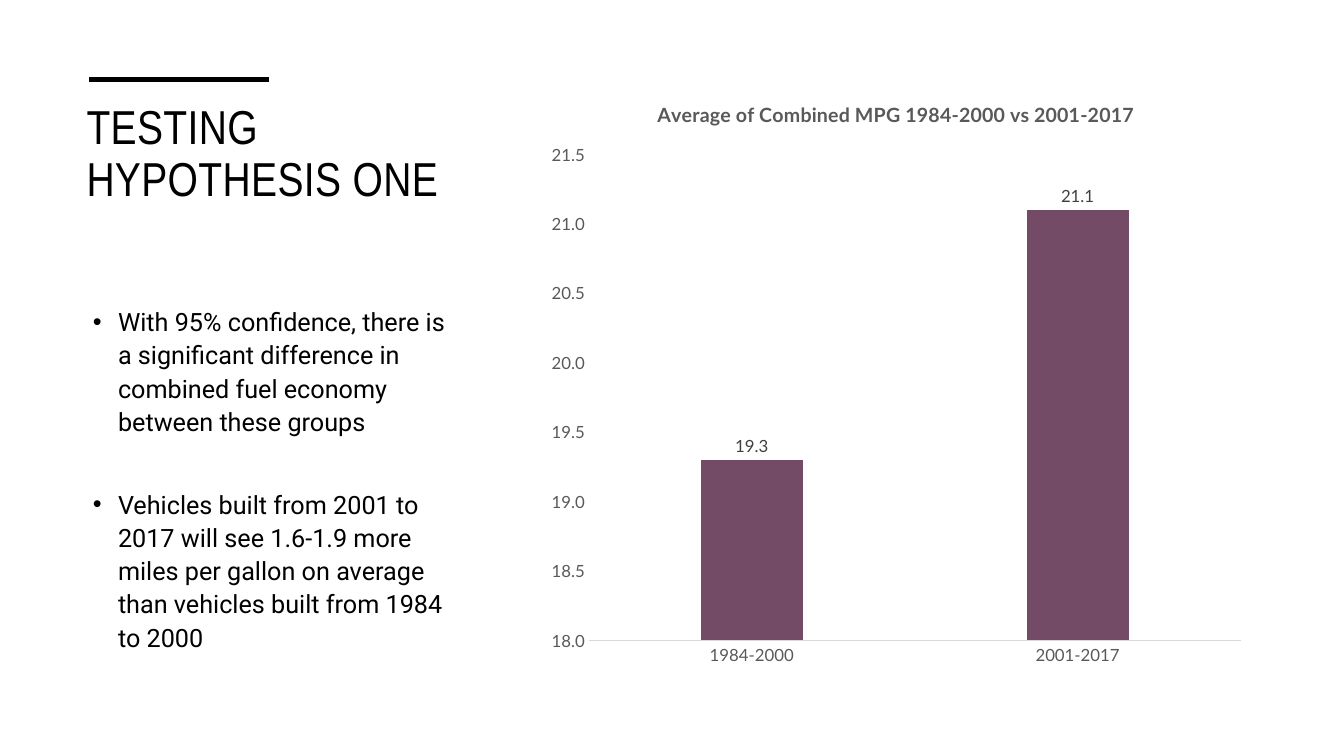
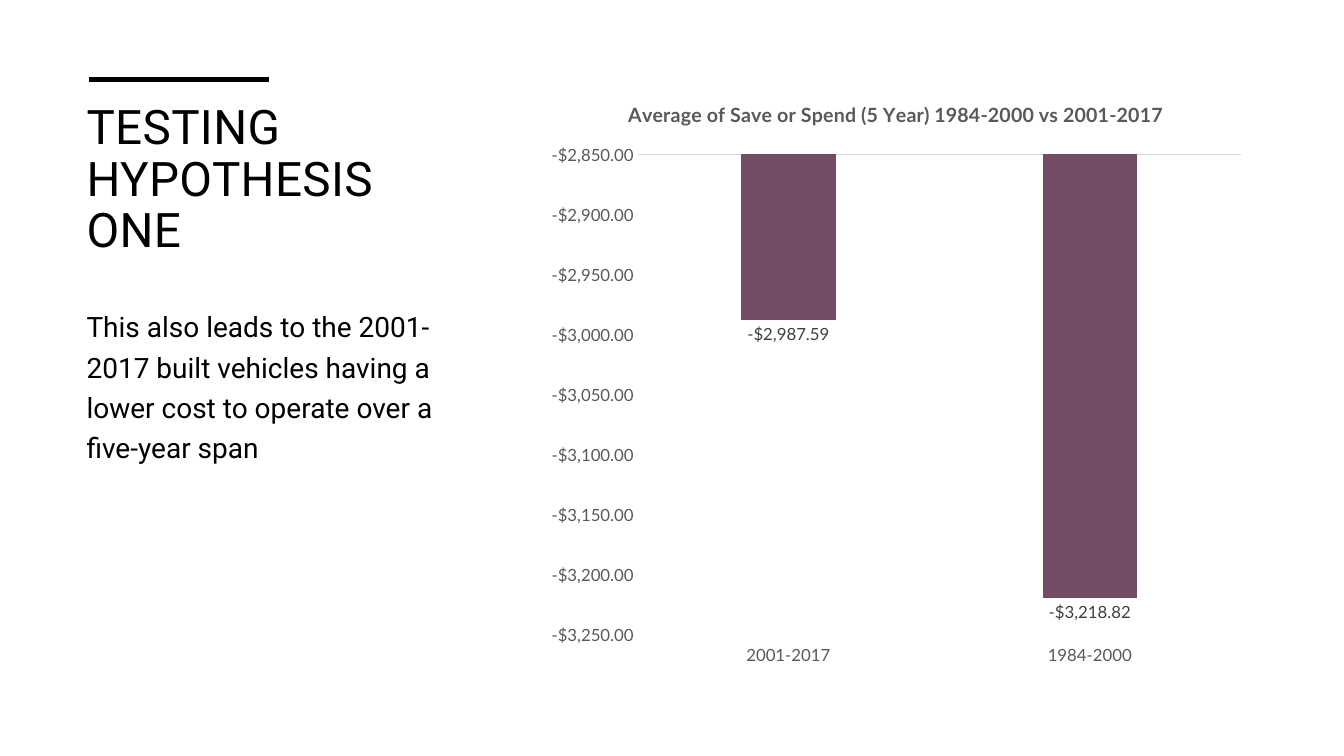
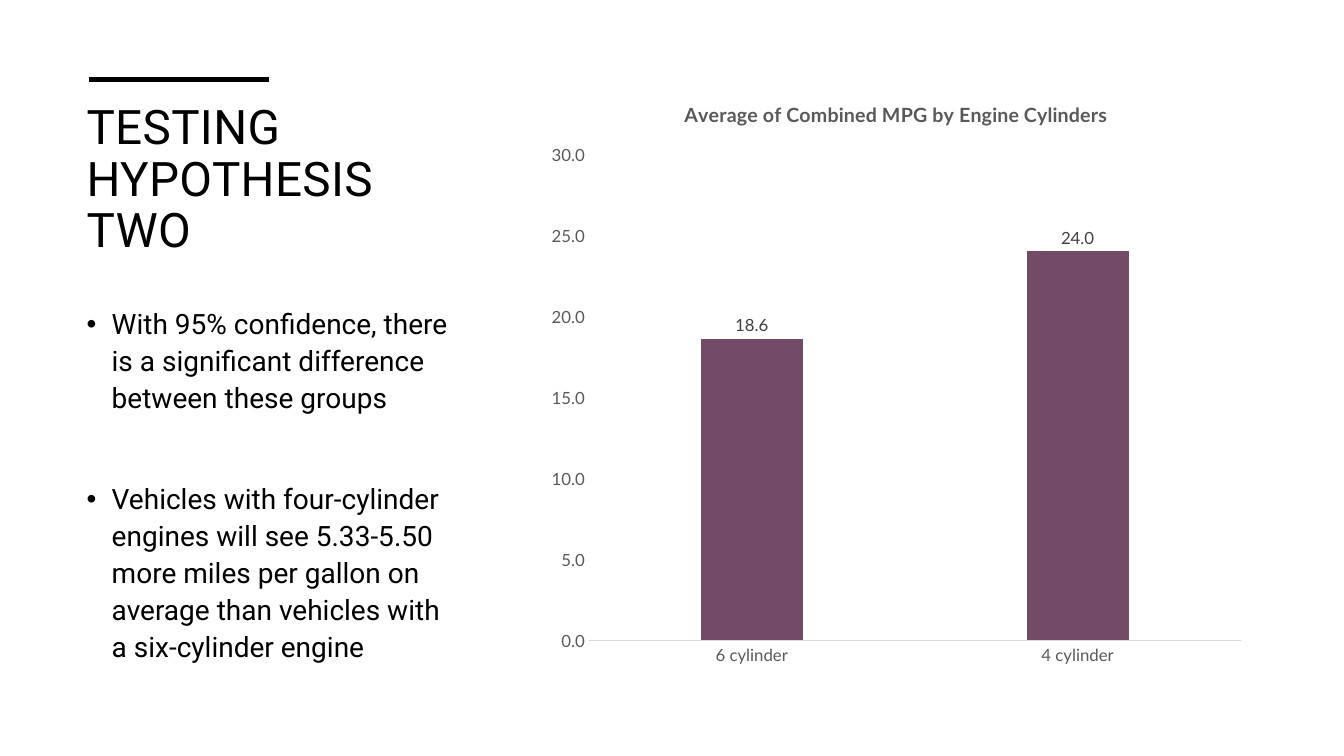
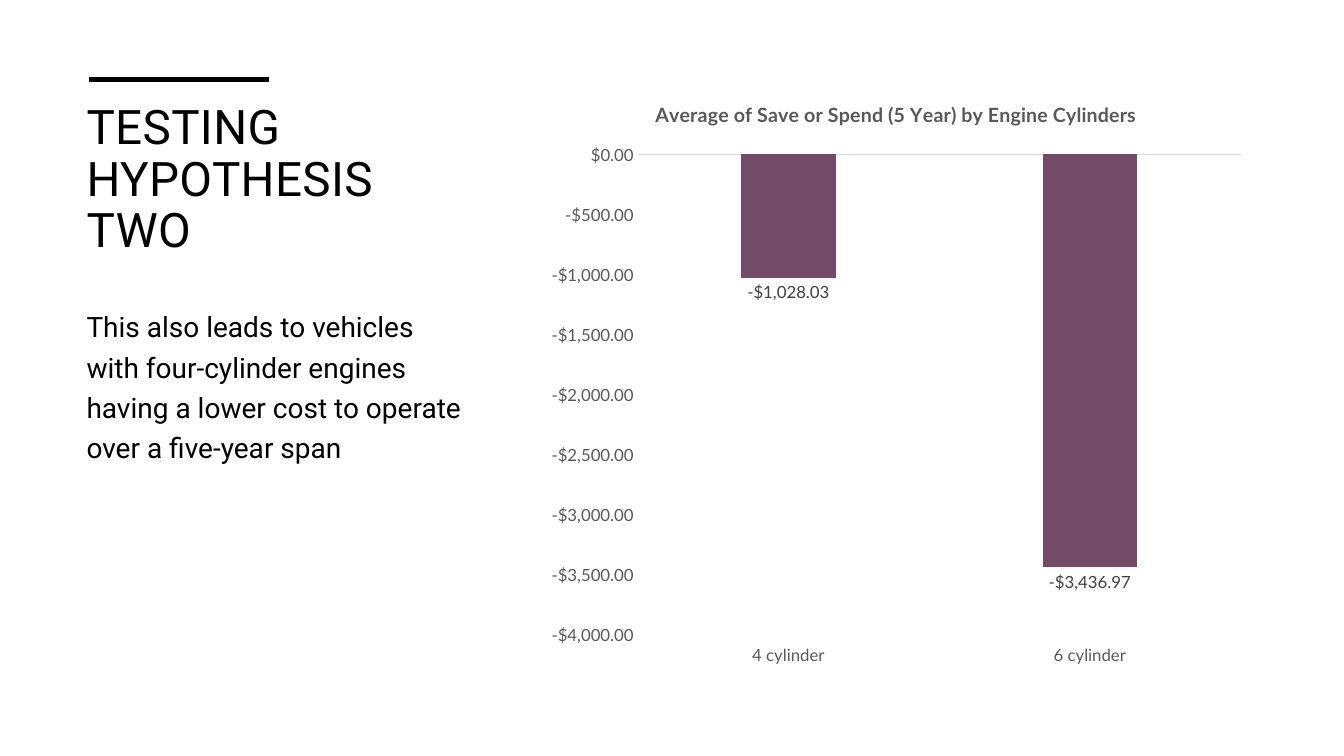
from lxml import etree
from pptx import Presentation
from pptx import util as u
from pptx.chart import data
from pptx.dml.color import RGBColor
from pptx.enum import chart as ch
from pptx.enum import shapes, text
from pptx.oxml import parse_xml
from pptx.oxml.ns import nsdecls, qn

BLACK = RGBColor(0x00, 0x00, 0x00)
PLUM = RGBColor(0x73, 0x4B, 0x67)
AXIS_GRAY = RGBColor(0x59, 0x59, 0x59)
LABEL_GRAY = RGBColor(0x40, 0x40, 0x40)
LINE_GRAY = RGBColor(0xD9, 0xD9, 0xD9)

BODY_FONT = "Roboto"
CHART_FONT = "Lato"
MPG = "0.0"
MONEY = '"$"#,##0.00'
PLOT_LAYOUTS = {MPG: (0.072, 0.125, 0.908, 0.815), MONEY: (0.14, 0.125, 0.84, 0.806)}


class Deck:
    def __init__(self):
        self.presentation = Presentation()
        self.presentation.slide_width = u.Pt(960)
        self.presentation.slide_height = u.Pt(540)
        self.slide = None

    def add_slide(self, title, title_font=BODY_FONT):
        self.slide = self.presentation.slides.add_slide(self.presentation.slide_layouts[6])
        self.title(title, title_font)
        self.rule()

    def style(self, font, size, color, name=CHART_FONT, bold=False):
        font.name = name
        font.size = u.Pt(size)
        font.bold = bold
        font.color.rgb = color

    def text_frame(self, top, width, height):
        shape = self.slide.shapes.add_textbox(u.Pt(54.72), u.Pt(top), u.Pt(width), u.Pt(height))
        frame = shape.text_frame
        frame.word_wrap = True
        frame.vertical_anchor = text.MSO_ANCHOR.TOP
        return frame

    def title(self, words, font):
        frame = self.text_frame(70.56, 286.56, 123.84)
        frame.text = words
        paragraph = frame.paragraphs[0]
        paragraph.line_spacing = 0.9
        run = paragraph.runs[0]
        self.style(run.font, 34, BLACK, font)
        run.font._element.set("spc", "30")

    def rule(self):
        line = self.slide.shapes.add_connector(
            shapes.MSO_CONNECTOR.STRAIGHT, u.Pt(63.36), u.Pt(56.88), u.Pt(192.24), u.Pt(56.88))
        line.line.color.rgb = BLACK
        line.line.width = u.Pt(3.5)
        etree.SubElement(line._element.spPr, qn("a:effectLst"))

    def body(self, paragraphs, size=20, spacing=1.2, gap=0, indent=None):
        frame = self.text_frame(213.12, 282.24, 275.76)
        for index, words in enumerate(paragraphs):
            paragraph = frame.add_paragraph() if index else frame.paragraphs[0]
            paragraph.text = words
            paragraph.line_spacing = spacing
            if index:
                paragraph.space_before = u.Pt(gap)
            if indent is not None:
                self.bullet(paragraph, indent)
            self.style(paragraph.runs[0].font, size, BLACK, BODY_FONT)

    def bullet(self, paragraph, indent):
        properties = paragraph._p.get_or_add_pPr()
        properties.set("marL", str(u.Pt(indent)))
        properties.set("indent", str(u.Pt(-18)))
        etree.SubElement(properties, qn("a:buFont")).set("typeface", "Arial")
        etree.SubElement(properties, qn("a:buChar")).set("char", "•")

    def column_chart(self, title, values, number_format, scale):
        chart_data = data.CategoryChartData(number_format=number_format)
        chart_data.categories = list(values)
        chart_data.add_series("Series 1", list(values.values()))
        chart = self.slide.shapes.add_chart(
            ch.XL_CHART_TYPE.COLUMN_CLUSTERED, u.Pt(383.76), u.Pt(56.88),
            u.Pt(512.64), u.Pt(426.24), chart_data).chart
        self.style(chart.font, 10, BLACK)
        chart.has_legend = False
        chart.has_title = True
        chart.chart_title.include_in_layout = False
        chart.chart_title.text_frame.text = title
        title_run = chart.chart_title.text_frame.paragraphs[0].runs[0]
        self.style(title_run.font, 14, AXIS_GRAY, bold=True)
        self.columns(chart.plots[0], number_format)
        self.axes(chart, number_format, scale)
        self.place_plot(chart, PLOT_LAYOUTS[number_format])

    def columns(self, plot, number_format):
        plot.gap_width = 219
        plot.overlap = -27
        plot.vary_by_categories = False
        series = plot.series[0]
        series.invert_if_negative = False
        series.format.fill.solid()
        series.format.fill.fore_color.rgb = PLUM
        labels = series.data_labels
        labels.show_value = True
        labels.position = ch.XL_LABEL_POSITION.OUTSIDE_END
        labels.number_format = number_format
        labels.number_format_is_linked = False
        self.style(labels.font, 12, LABEL_GRAY)

    def axes(self, chart, number_format, scale):
        for axis in (chart.category_axis, chart.value_axis):
            axis.has_major_gridlines = False
            axis.major_tick_mark = ch.XL_TICK_MARK.NONE
            axis.minor_tick_mark = ch.XL_TICK_MARK.NONE
            self.style(axis.tick_labels.font, 12, AXIS_GRAY)
        category_line = chart.category_axis.format.line
        category_line.color.rgb = LINE_GRAY
        category_line.width = u.Pt(0.75)
        if number_format == MONEY:
            chart.category_axis.tick_label_position = ch.XL_TICK_LABEL_POSITION.LOW
        value_axis = chart.value_axis
        value_axis.format.line.fill.background()
        value_axis.minimum_scale, value_axis.maximum_scale, value_axis.major_unit = scale
        value_axis.tick_labels.number_format = number_format
        value_axis.tick_labels.number_format_is_linked = False

    def place_plot(self, chart, fractions):
        plot_area = chart._chartSpace.chart.plotArea
        for layout in plot_area.findall(qn("c:layout")):
            plot_area.remove(layout)
        settings = [("layoutTarget", "inner"), ("xMode", "edge"), ("yMode", "edge")]
        settings += zip("xywh", fractions)
        items = "".join(f'<c:{name} val="{value}"/>' for name, value in settings)
        plot_area.insert(0, parse_xml(
            f'<c:layout {nsdecls("c")}><c:manualLayout>{items}</c:manualLayout></c:layout>'))


def main():
    deck = Deck()

    deck.add_slide("TESTING HYPOTHESIS ONE", "Arial Narrow")
    deck.body([
        "With 95% confidence, there is a significant difference in combined fuel economy "
        "between these groups",
        "Vehicles built from 2001 to 2017 will see 1.6-1.9 more miles per gallon on average "
        "than vehicles built from 1984 to 2000",
    ], size=18, spacing=1.1, gap=35.5, indent=22.5)
    deck.column_chart("Average of Combined MPG 1984-2000 vs 2001-2017",
                      {"1984-2000": 19.3, "2001-2017": 21.1}, MPG, (18, 21.5, 0.5))

    deck.add_slide("TESTING HYPOTHESIS ONE")
    deck.body(["This also leads to the 2001-2017 built vehicles having a lower cost to operate "
               "over a five-year span"])
    deck.column_chart("Average of Save or Spend (5 Year) 1984-2000 vs 2001-2017",
                      {"2001-2017": -2987.59, "1984-2000": -3218.82}, MONEY, (-3250, -2850, 50))

    deck.add_slide("TESTING HYPOTHESIS TWO")
    deck.body([
        "With 95% confidence, there is a significant difference between these groups",
        "Vehicles with four-cylinder engines will see 5.33-5.50 more miles per gallon on average "
        "than vehicles with a six-cylinder engine",
    ], spacing=1.1, gap=46, indent=18)
    deck.column_chart("Average of Combined MPG by Engine Cylinders",
                      {"6 cylinder": 18.6, "4 cylinder": 24.0}, MPG, (0, 30, 5))

    deck.add_slide("TESTING HYPOTHESIS TWO")
    deck.body(["This also leads to vehicles with four-cylinder engines having a lower cost "
               "to operate over a five-year span"])
    deck.column_chart("Average of Save or Spend (5 Year) by Engine Cylinders",
                      {"4 cylinder": -1028.03, "6 cylinder": -3436.97}, MONEY, (-4000, 0, 500))

    deck.presentation.save("out.pptx")


if __name__ == "__main__":
    main()
